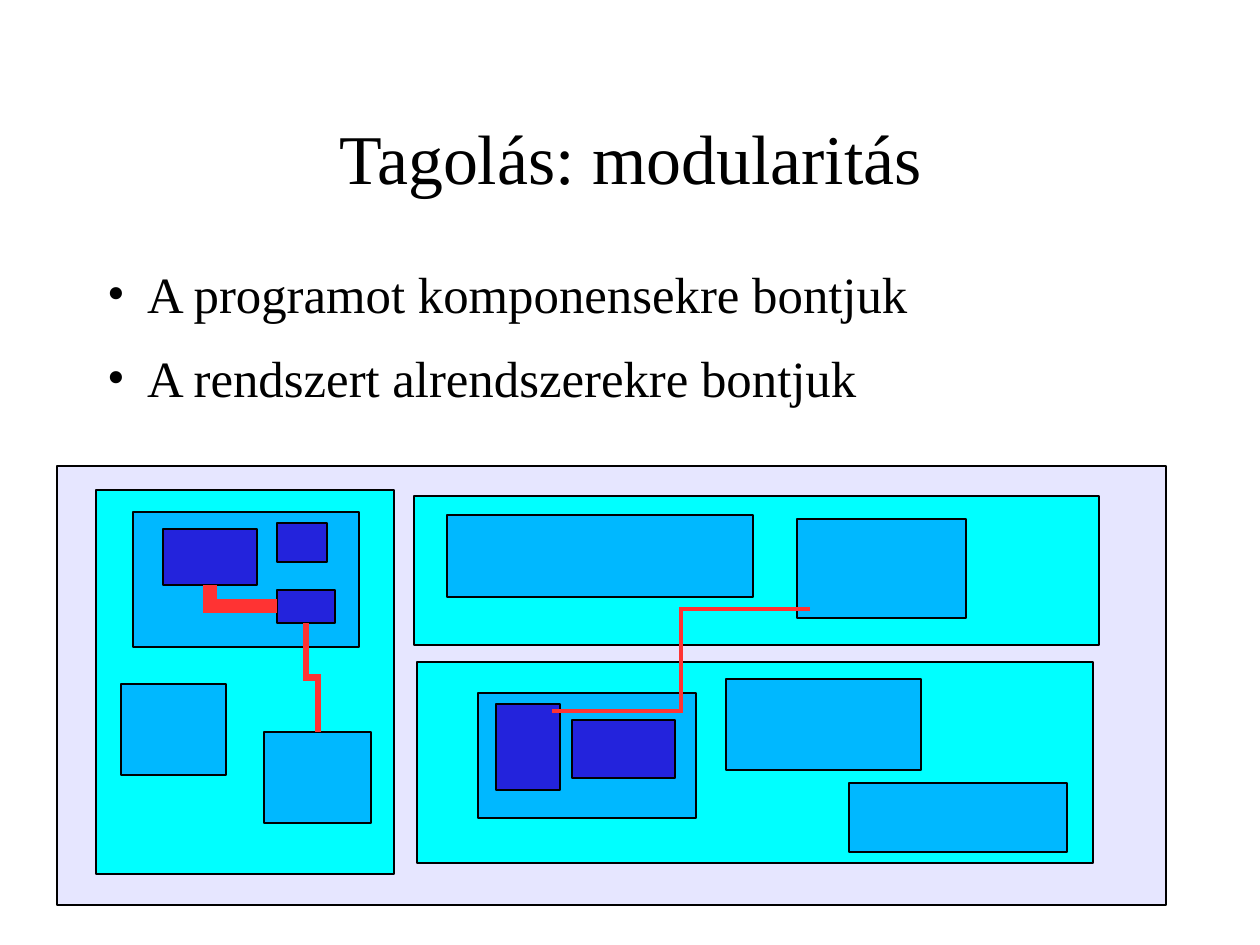
from lxml.etree import SubElement
from pptx import Presentation
from pptx.dml.color import RGBColor
from pptx.enum.shapes import MSO_CONNECTOR, MSO_SHAPE
from pptx.enum.text import MSO_ANCHOR, MSO_AUTO_SIZE, PP_ALIGN
from pptx.oxml.ns import qn
from pptx.util import Pt

SCALE = 8000
BLACK = RGBColor(0x00, 0x00, 0x00)
RED = RGBColor(0xFF, 0x33, 0x33)
LEVELS = [
    RGBColor(0xE6, 0xE6, 0xFF),
    RGBColor(0x00, 0xFF, 0xFF),
    RGBColor(0x00, 0xB8, 0xFF),
    RGBColor(0x23, 0x23, 0xDC),
]

FACE = "Times New Roman"
FRAME = {
    "margin_left": 0, "margin_top": 0, "margin_right": 0, "margin_bottom": 0,
    "word_wrap": True, "auto_size": MSO_AUTO_SIZE.SHAPE_TO_FIT_TEXT,
}

LEFT = [
    (25, 194, 105, 91, []),
    (168, 242, 107, 91, []),
    (37, 22, 226, 135, [
        (30, 17, 94, 56, []),
        (144, 11, 50, 39, []),
        (144, 78, 58, 33, []),
    ]),
]
UPPER = [(383, 23, 169, 99, []), (33, 19, 306, 82, [])]
LOWER = [
    (61, 31, 218, 125, [(18, 11, 64, 86, []), (94, 27, 103, 58, [])]),
    (309, 17, 195, 91, []),
    (432, 121, 218, 69, []),
]
SYSTEM = [
    (39, 24, 298, 384, LEFT),
    (357, 30, 685, 149, UPPER),
    (360, 196, 676, 201, LOWER),
]
LINKS = [
    (153, 119, 220, 140, 8.65, "bentConnector2", True),
    (495, 245, 753, 143, 2.89, "bentConnector3", False),
    (249, 157, 261, 266, 4.31, "bentConnector3", True),
]


def px(*sizes):
    """Turn px lengths into EMU."""
    return [round(size * SCALE) for size in sizes]


def style(target, values):
    """Set each named value on the target."""
    for name, value in values.items():
        setattr(target, name, value)


def write(slide, box, lines, size, frame, para):
    """Fill a text box with one paragraph per line."""
    text = slide.shapes.add_textbox(*px(*box)).text_frame
    style(text, FRAME | frame)
    text.text = "\n".join(lines)
    for item in text.paragraphs:
        style(item, para)
        for run in item.runs:
            style(run.font, {"name": FACE, "size": Pt(size)})
            run.font.color.rgb = BLACK
    return text


def title(slide, box):
    """Write the centred heading."""
    write(slide, box, ["Tagolás: modularitás"], 44,
          {"vertical_anchor": MSO_ANCHOR.MIDDLE},
          {"alignment": PP_ALIGN.CENTER})


def bullets(slide, box):
    """Write the two bulleted points."""
    lines = ["A programot komponensekre bontjuk",
             "A rendszert alrendszerekre bontjuk"]
    text = write(slide, box, lines, 32, {}, {"space_after": Pt(14.3)})
    for item in text.paragraphs:
        props = item._p.get_or_add_pPr()
        margin, indent = px(54, -40)
        props.set("marL", str(margin))
        props.set("indent", str(indent))
        SubElement(props, qn("a:buFont")).set("typeface", FACE)
        SubElement(props, qn("a:buChar")).set("char", "•")


def module(slide, box, kids, level=0):
    """Draw a block and, inside it, its nested blocks."""
    shape = slide.shapes.add_shape(MSO_SHAPE.ROUNDED_RECTANGLE, *px(*box))
    shape.adjustments[0] = 0
    shape.shadow.inherit = False
    shape.fill.solid()
    shape.fill.fore_color.rgb = LEVELS[level]
    shape.line.color.rgb = BLACK
    shape.line.width = Pt(0.75)
    for x, y, w, h, inner in kids:
        module(slide, (box[0] + x, box[1] + y, w, h), inner, level + 1)


def link(slide, ends, width, kind, turned):
    """Draw a bent line, leaving downwards when turned."""
    x1, y1, x2, y2 = ends
    if turned:
        mid_x, mid_y = (x1 + x2) / 2, (y1 + y2) / 2
        half_w, half_h = (y2 - y1) / 2, (x2 - x1) / 2
        ends = (mid_x + half_w, mid_y - half_h, mid_x - half_w, mid_y + half_h)
    line = slide.shapes.add_connector(MSO_CONNECTOR.ELBOW, *px(*ends))
    line.line.color.rgb = RED
    line.line.width = Pt(width)
    props = line._element.spPr
    SubElement(props.find(qn("a:ln")), qn("a:miter")).set("lim", "800000")
    props.find(qn("a:prstGeom")).set("prst", kind)
    if turned:
        props.find(qn("a:xfrm")).set("rot", "16200000")
    SubElement(props, qn("a:effectLst"))


def system(slide, box):
    """Draw the nested modules and the links between them."""
    module(slide, box, SYSTEM)
    left, top = box[:2]
    for x1, y1, x2, y2, *form in LINKS:
        link(slide, (left + x1, top + y1, left + x2, top + y2), *form)


def main():
    """Build the slide and save it."""
    deck = Presentation()
    deck.slide_width, deck.slide_height = px(1260, 945)
    slide = deck.slides.add_slide(deck.slide_layouts[6])
    title(slide, (93, 115, 1076, 83))
    bullets(slide, (93, 263, 1076, 145))
    system(slide, (57, 466, 1109, 439))
    deck.save("out.pptx")


if __name__ == "__main__":
    main()
